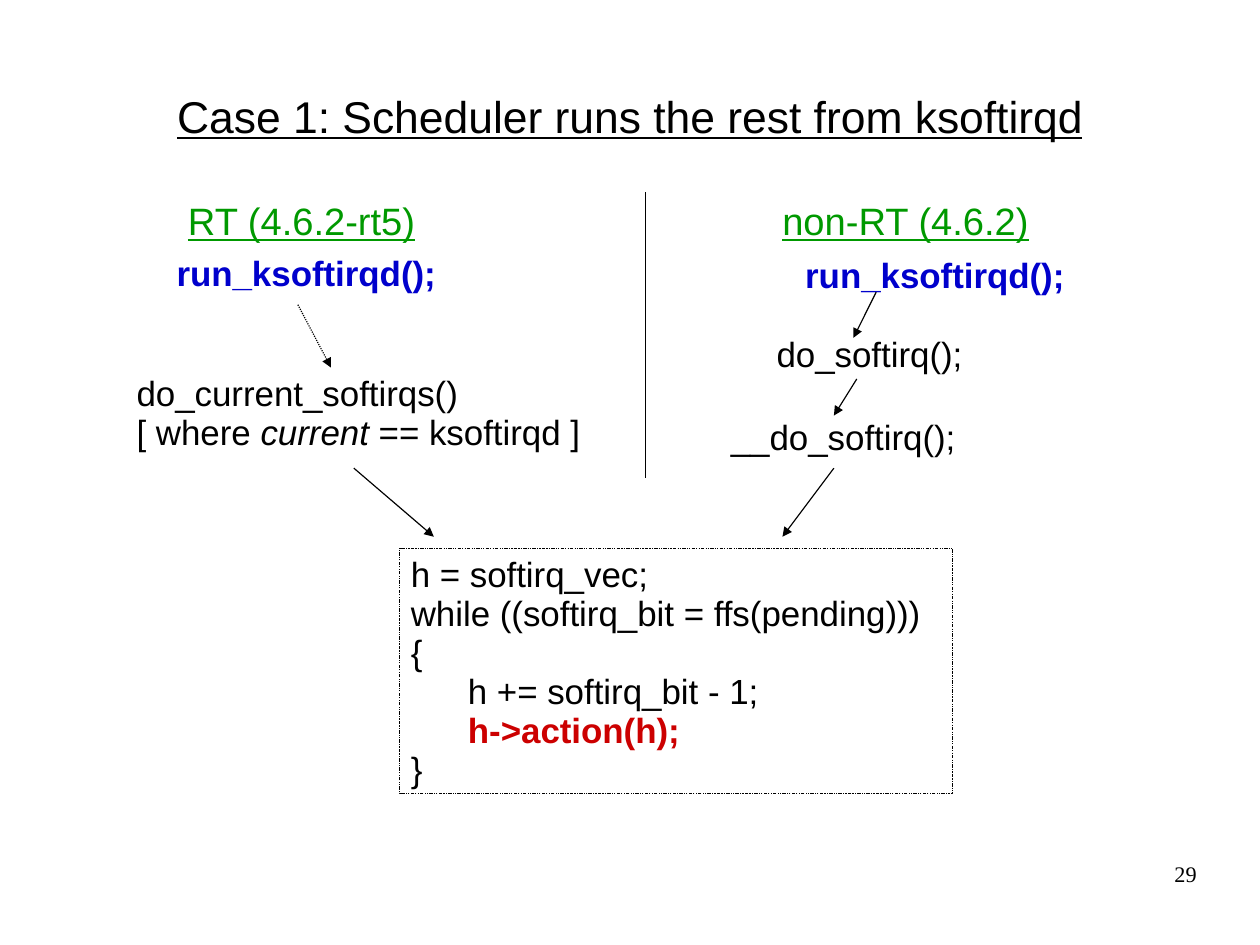
from lxml.etree import SubElement
from pptx import Presentation
from pptx.dml.color import RGBColor
from pptx.enum.dml import MSO_LINE_DASH_STYLE as Dash
from pptx.enum.shapes import MSO_CONNECTOR as Connector, MSO_SHAPE as Shape
from pptx.enum.text import MSO_ANCHOR as Anchor, PP_ALIGN as Align
from pptx.oxml.ns import qn
from pptx.util import Cm, Inches, Pt

BLACK = RGBColor(0x00, 0x00, 0x00)
GREEN = RGBColor(0x00, 0x99, 0x00)
BLUE = RGBColor(0x00, 0x00, 0xCC)
RED = RGBColor(0xCC, 0x00, 0x00)

CELL = Inches(0.1)
LINE_WIDTH = Pt(0.75)
INSETS = (0.1, 0.07, 0.1, 0.05)

BODY = {"name": "Arial", "size": Pt(22), "color": BLACK}
TITLE = {**BODY, "size": Pt(28), "underline": True}
HEADING = {**BODY, "size": Pt(24), "underline": True, "color": GREEN}
ENTRY_CALL = {**BODY, "bold": True, "color": BLUE}
ACTION = {**BODY, "bold": True, "color": RED}
ITALIC = {**BODY, "italic": True}
NUMBER = {**BODY, "name": "Times New Roman", "size": Pt(14)}


def grid(*cells):
    return [round(cell * CELL) for cell in cells]


def within(origin, *cells):
    return (origin[0] + cells[0], origin[1] + cells[1], *cells[2:])


def write(shape, lines, insets=INSETS, anchor=Anchor.TOP, align=Align.LEFT, wrap=True):
    frame = shape.text_frame
    sides = ("margin_left", "margin_top", "margin_right", "margin_bottom")
    settings = {side: Inches(inset) for side, inset in zip(sides, insets)}
    settings.update(word_wrap=wrap, vertical_anchor=anchor)
    for name, value in settings.items():
        setattr(frame, name, value)
    for index, runs in enumerate(lines):
        paragraph = frame.add_paragraph() if index else frame.paragraphs[0]
        paragraph.alignment = align
        paragraph.line_spacing = 0.93
        for text, style in runs:
            run = paragraph.add_run()
            run.text = text
            for name, value in style.items():
                if name == "color":
                    run.font.color.rgb = value
                else:
                    setattr(run.font, name, value)


def add_text(slide, box, lines, **layout):
    write(slide.shapes.add_textbox(*grid(*box)), lines, **layout)


def add_line(slide, start, end, arrow=True, dash=None):
    connector = slide.shapes.add_connector(Connector.STRAIGHT, *grid(*start, *end))
    connector.line.color.rgb = BLACK
    connector.line.width = LINE_WIDTH
    if dash:
        connector.line.dash_style = dash
    properties = connector._element.spPr
    if arrow:
        SubElement(properties.find(qn("a:ln")), qn("a:tailEnd"), type="triangle")
    SubElement(properties, qn("a:effectLst"))


def add_title(slide, box):
    add_text(slide, box, [[("Case 1: Scheduler runs the rest from ksoftirqd", TITLE)]],
             insets=(0, 0.03, 0, 0), anchor=Anchor.MIDDLE, align=Align.CENTER)


def add_call_chain(slide, origin, texts, arrows):
    for box, lines, wrap in texts:
        add_text(slide, within(origin, *box), lines, wrap=wrap)
    for start, end, dash in arrows:
        add_line(slide, within(origin, *start), within(origin, *end), dash=dash)


def add_rt_chain(slide, origin):
    texts = [
        ((4.5, 0.2, 37.6, 4.7), [[("RT (4.6.2-rt5)", HEADING)]], True),
        ((3.5, 4.9, 32.5, 8.1), [[("run_ksoftirqd();", ENTRY_CALL)]], True),
        ((0, 15.4, 40.9, 7.8), [
            [("do_current_softirqs()", BODY)],
            [("[ where ", BODY), ("current", ITALIC), (" == ksoftirqd ]", BODY)],
        ], False),
    ]
    arrows = [
        ((15.1, 9.9), (18, 15.4), Dash.ROUND_DOT),
        ((20, 24.2), (27, 30.2), None),
    ]
    add_call_chain(slide, origin, texts, arrows)


def add_non_rt_chain(slide, origin):
    texts = [
        ((4.5, 0.2, 26, 4.7), [[("non-RT (4.6.2)", HEADING)]], True),
        ((6.5, 5.1, 26.5, 6), [[("run_ksoftirqd();", ENTRY_CALL)]], True),
        ((4, 12, 21, 4.4), [[("do_softirq();", BODY)]], True),
        ((0, 19.2, 25, 4.5), [[("__do_softirq();", BODY)]], True),
    ]
    arrows = [
        ((13.7, 8.8), (11.7, 12.8), None),
        ((12, 16.4), (10, 19.6), None),
        ((10, 24.2), (5.5, 30.2), None),
    ]
    add_call_chain(slide, origin, texts, arrows)


def add_action_loop(slide, box):
    shape = slide.shapes.add_shape(Shape.RECTANGLE, *grid(*box))
    shape.shadow.inherit = False
    shape.fill.background()
    shape.line.color.rgb = BLACK
    shape.line.width = LINE_WIDTH
    shape.line.dash_style = Dash.DASH_DOT_DOT
    dash = shape._element.spPr.find(qn("a:ln")).find(qn("a:prstDash"))
    dash.set("val", "sysDashDotDot")
    write(shape, [
        [("h = softirq_vec;", BODY)],
        [("while ((softirq_bit = ffs(pending))) {", BODY)],
        [("h += softirq_bit - 1;", BODY)],
        [("h->action(h);", ACTION)],
        [("}", BODY)],
    ])
    for paragraph in shape.text_frame.paragraphs[2:4]:
        properties = paragraph._p.get_or_add_pPr()
        properties.set("marL", str(Inches(0.5)))
        properties.set("indent", "0")


def add_page_number(slide, box):
    add_text(slide, box, [[("29", NUMBER)]], insets=(0, 0, 0, 0), align=Align.RIGHT)


def main():
    presentation = Presentation()
    presentation.slide_width = Cm(28)
    presentation.slide_height = Cm(21)
    slide = presentation.slides.add_slide(presentation.slide_layouts[6])
    add_title(slide, (5.5, 3.3, 99.2, 13.8))
    add_line(slide, (56.46, 16.8), (56.46, 41.8), arrow=False)
    add_rt_chain(slide, (10.96, 16.76))
    add_non_rt_chain(slide, (62.96, 16.76))
    add_action_loop(slide, (34.96, 47.96, 48.4, 21.5))
    add_page_number(slide, (79, 75.46, 25.7, 5.7))
    presentation.save("out.pptx")


if __name__ == "__main__":
    main()
